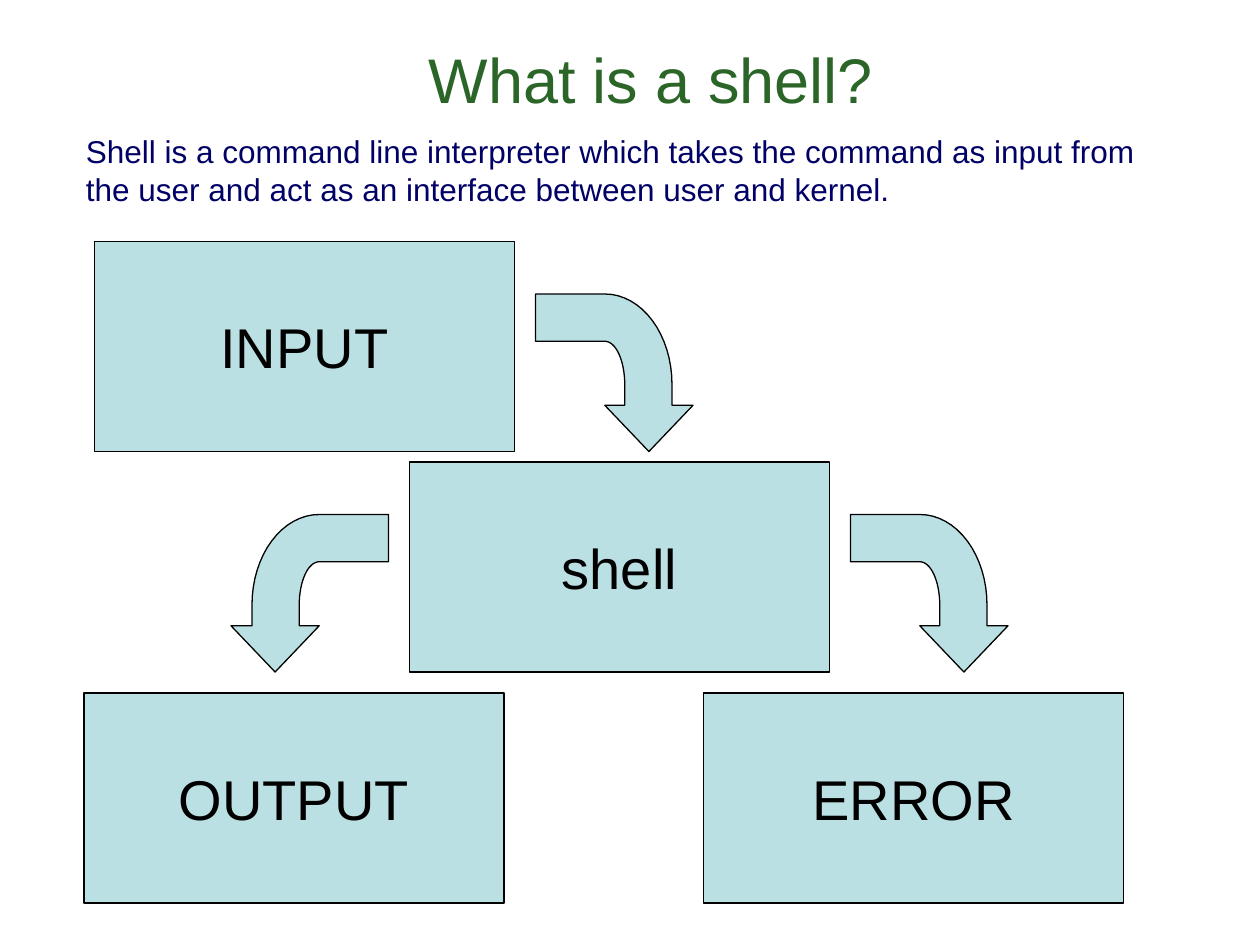
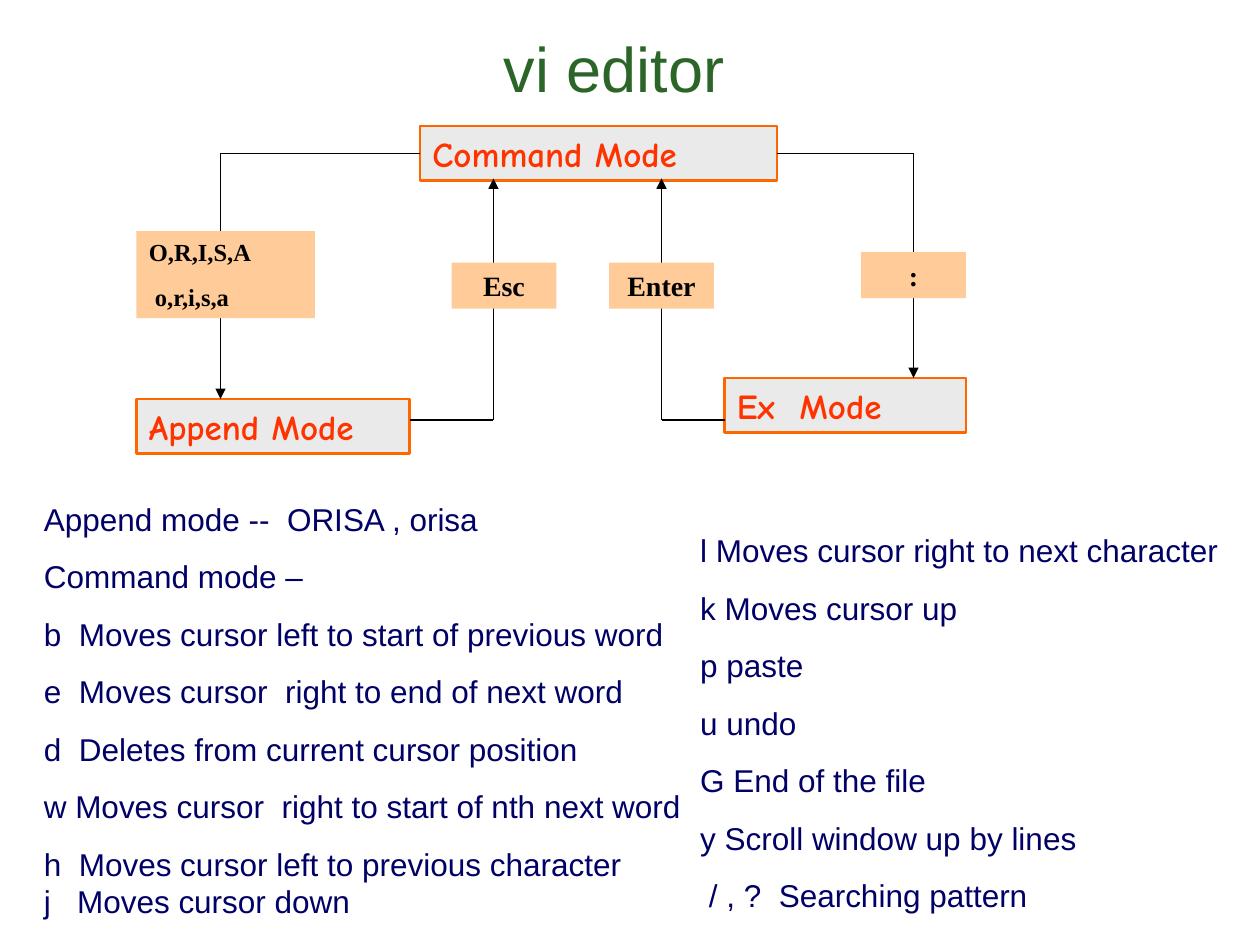
"""Build two slides: what a shell is, and the modes of the vi editor."""
import math
from dataclasses import dataclass

from lxml import etree
from pptx import Presentation
from pptx import util as u
from pptx.dml.color import RGBColor
from pptx.enum import shapes, text
from pptx.oxml.ns import qn

PX = 7620
ARROW_SIZE = 150


@dataclass(frozen=True)
class Style:
    """Font, size, colour and weight of one kind of text."""
    font: str
    size: int
    color: str
    bold: bool = False
    gap: float = 0


@dataclass(frozen=True)
class Theme:
    """Colours, line widths and text styles that the slides share."""
    ink: str = "000000"
    stage_fill: str = "BBE0E3"
    mode_fill: str = "EAEAEA"
    mode_line: str = "FF6600"
    key_fill: str = "FFCC99"
    thin: float = 0.75
    thick: float = 1.25
    title: Style = Style("Arial", 36, "2B6628")
    body: Style = Style("Arial", 18, "000066", gap=11.25)
    stage: Style = Style("Arial", 32, "000000")
    mode: Style = Style("Comic Neue", 20, "FF3300", True)
    key: Style = Style("Times New Roman", 16, "000000", True)
    key_list: Style = Style("Times New Roman", 14, "000000", True, 8.75)


THEME = Theme()
CENTER = text.PP_ALIGN.CENTER
LEFT = text.PP_ALIGN.LEFT
MIDDLE = text.MSO_ANCHOR.MIDDLE
TOP = text.MSO_ANCHOR.TOP


def px(*lengths):
    """Turn px lengths into EMU."""
    return [u.Emu(round(length * PX)) for length in lengths]


def write(frame, lines, style, align=LEFT, anchor=TOP):
    """Fill a text frame with one paragraph per line."""
    frame.word_wrap = True
    frame.vertical_anchor = anchor
    for index, line in enumerate(lines):
        paragraph = frame.add_paragraph() if index else frame.paragraphs[0]
        paragraph.text = line
        paragraph.alignment = align
        if index:
            paragraph.space_before = u.Pt(style.gap)
        font = paragraph.font
        font.name, font.size, font.bold = style.font, u.Pt(style.size), style.bold
        font.color.rgb = RGBColor.from_string(style.color)
    return frame


def paint(shape, fill, line=None, width=THEME.thin):
    """Give a shape a flat fill and an optional outline."""
    shape.shadow.inherit = False
    shape.fill.solid()
    shape.fill.fore_color.rgb = RGBColor.from_string(fill)
    if line:
        shape.line.color.rgb = RGBColor.from_string(line)
        shape.line.width = u.Pt(width)
    else:
        shape.line.fill.background()


def add_text(slide, area, lines, style, align=LEFT, anchor=TOP):
    """Add a text box and return its frame."""
    box = slide.shapes.add_textbox(*px(*area))
    return write(box.text_frame, lines, style, align, anchor)


def add_title(slide, area, title):
    """Add the centred slide title."""
    add_text(slide, area, [title], THEME.title, CENTER, MIDDLE)


def add_box(slide, area, fill, line=None, width=THEME.thin):
    """Add a painted rectangle."""
    box = slide.shapes.add_shape(shapes.MSO_SHAPE.RECTANGLE, *px(*area))
    paint(box, fill, line, width)
    return box


def add_stage(slide, x, y, label):
    """Add one large box of the shell diagram."""
    stage = add_box(slide, (x, y, 400, 200), THEME.stage_fill, THEME.ink)
    write(stage.text_frame, [label], THEME.stage, CENTER, MIDDLE)


def add_mode(slide, x, y, width, label):
    """Add one editor mode box."""
    mode = add_box(slide, (x, y, width, 52), THEME.mode_fill,
                   THEME.mode_line, THEME.thick)
    write(mode.text_frame, [label], THEME.mode)
    return mode


def add_key(slide, x, y, label):
    """Add the label of a key that switches modes."""
    key = add_box(slide, (x, y, 100, 44), THEME.key_fill)
    write(key.text_frame, [label], THEME.key, CENTER)


def quarter_arc(rx, ry, steps=16):
    """List points from the right end to the top of an arc in the bend."""
    angles = [math.pi / 2 * step / steps for step in range(steps + 1)]
    return [(66 + rx * math.cos(a), 86 - ry * math.sin(a)) for a in angles]


def add_bent_arrow(slide, x, y, mirrored=False):
    """Add a block arrow that runs sideways and then turns down."""
    outline = [(108, 150), (150, 106), (130, 106), *quarter_arc(64, 86),
               (0, 0), (0, 45), *reversed(quarter_arc(19, 41)),
               (85, 106), (66, 106)]
    points = [px(x + (ARROW_SIZE - dx if mirrored else dx), y + dy)
              for dx, dy in outline]
    builder = slide.shapes.build_freeform(*points[0])
    builder.add_line_segments(points[1:])
    paint(builder.convert_to_shape(), THEME.stage_fill, THEME.ink)


def add_line(slide, start, end, arrow=False):
    """Add a straight line, with an arrowhead at its end if wanted."""
    line = slide.shapes.add_connector(shapes.MSO_CONNECTOR.STRAIGHT,
                                      *px(*start, *end))
    line.line.color.rgb = RGBColor.from_string(THEME.ink)
    line.line.width = u.Pt(THEME.thin)
    properties = line._element.spPr
    if arrow:
        etree.SubElement(properties.find(qn("a:ln")), qn("a:tailEnd"),
                         type="triangle")
    etree.SubElement(properties, qn("a:effectLst"))
    return line


def add_route(slide, start, corner, end):
    """Add a line to a corner and an arrow from there; return the first part."""
    first_leg = add_line(slide, start, corner)
    add_line(slide, corner, end, arrow=True)
    return first_leg


def build_shell_slide(slide):
    """Show the shell between input, output and error."""
    add_title(slide, (80, 0, 1080, 150), "What is a shell?")
    add_text(slide, (70, 120, 1060, 84), [
        "Shell is a command line interpreter which takes the command as input "
        "from the user and act as an interface between user and kernel."],
        THEME.body)
    for x, y, label in ((90, 230, "INPUT"), (390, 440, "shell"),
                        (80, 660, "OUTPUT"), (670, 660, "ERROR")):
        add_stage(slide, x, y, label)
    add_bent_arrow(slide, 510, 280)
    add_bent_arrow(slide, 810, 490)
    add_bent_arrow(slide, 220, 490, mirrored=True)


def build_vi_slide(slide):
    """Show the vi modes, the keys between them and a key list."""
    add_title(slide, (110, 20, 950, 88), "vi editor")
    command = add_mode(slide, 400, 120, 340, "Command Mode")
    add_mode(slide, 130, 380, 260, "Append Mode")
    add_mode(slide, 690, 360, 230, "Ex  Mode")

    to_append = add_route(slide, (400, 146), (210, 146), (210, 380))
    to_append.begin_connect(command, 1)
    to_ex = add_route(slide, (740, 146), (870, 146), (870, 360))
    to_ex.begin_connect(command, 3)
    add_route(slide, (390, 400), (470, 400), (470, 170))
    add_route(slide, (690, 400), (630, 400), (630, 170))

    append_keys = add_box(slide, (130, 220, 170, 83), THEME.key_fill)
    write(append_keys.text_frame, ["O,R,I,S,A", " o,r,i,s,a"], THEME.key_list)
    for x, y, label in ((430, 250, "Esc"), (580, 250, "Enter"), (820, 240, ":")):
        add_key(slide, x, y, label)

    commands = add_text(slide, (30, 470, 650, 413), [
        "Append mode --  ORISA , orisa",
        "Command mode –",
        "b  Moves cursor left to start of previous word",
        "e  Moves cursor  right to end of next word",
        "d  Deletes from current cursor position",
        "w Moves cursor  right to start of nth next word",
        "h  Moves cursor left to previous character",
        "j   Moves cursor down"], THEME.body)
    commands.paragraphs[-1].space_before = u.Pt(0)
    add_text(slide, (655, 500, 545, 390), [
        "l Moves cursor right to next character",
        "k Moves cursor up",
        "p paste",
        "u undo",
        "G End of the file",
        "y Scroll window up by lines",
        " / , ?  Searching pattern"], THEME.body)


def main():
    """Build and save the presentation."""
    deck = Presentation()
    deck.slide_width, deck.slide_height = px(1200, 900)
    blank = deck.slide_layouts[6]
    for build in (build_shell_slide, build_vi_slide):
        build(deck.slides.add_slide(blank))
    deck.save("out.pptx")


if __name__ == "__main__":
    main()
